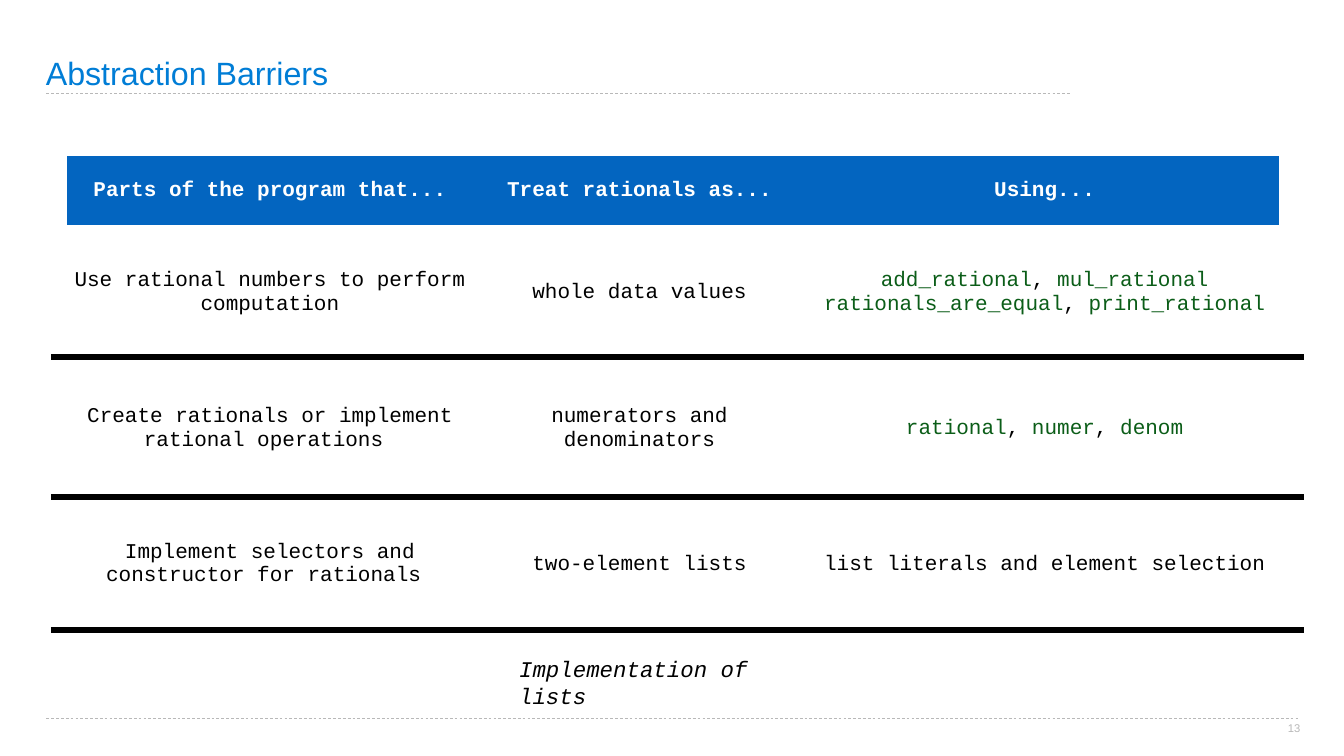
from dataclasses import dataclass

from pptx import Presentation
from pptx.dml.color import RGBColor
from pptx.enum.dml import MSO_LINE
from pptx.enum.shapes import MSO_CONNECTOR
from pptx.enum.text import MSO_ANCHOR, PP_ALIGN
from pptx.oxml.ns import qn
from pptx.util import Inches, Pt
from lxml.etree import SubElement

WIDTH, HEIGHT = 26.67, 15


@dataclass(frozen=True)
class Theme:
    title: str = "007DD6"
    header: str = "0365C0"
    code: str = "0B5D18"
    ink: str = "000000"
    paper: str = "FFFFFF"
    muted: str = "B8B8B8"
    sans: str = "Arial"
    mono: str = "Courier New"
    title_size: int = 46
    table_size: int = 30
    note_size: int = 32
    number_size: int = 16
    inset: float = 0.06
    indent: float = 0.09
    no_grid: str = "{2D5ABB26-0587-4C30-8999-92F81FD0307C}"


T = Theme()

# Backticks mark function names; a line break starts a paragraph
ROWS = [
    ["Parts of the program that...", "Treat rationals as...", "Using..."],
    ["Use rational numbers to perform computation", "whole data values",
     "`add_rational`, `mul_rational`\n`rationals_are_equal`, `print_rational`"],
    ["Create rationals or implement rational operations\t",
     "numerators and denominators", "`rational`, `numer`, `denom`"],
    ["Implement selectors and constructor for rationals\t",
     "two-element lists", "list literals and element selection"],
]
# Percent of the slide's width or height
COLUMN_SHARES = [29.92, 25.08, 35.21]
ROW_SHARES = [9.07, 17.93, 18.07, 17.87]
BARRIERS = [47.2, 65.73, 83.33]


def x(share):
    return Inches(WIDTH * share / 100)


def y(share):
    return Inches(HEIGHT * share / 100)


def set_attrs(obj, values):
    for name, value in values.items():
        setattr(obj, name, value)


def insets(size):
    sides = ("left", "top", "right", "bottom")
    return {f"margin_{side}": Inches(size) for side in sides}


def write(tf, text, color, align=PP_ALIGN.LEFT, indent=0, spacing=1, **font):
    for i, line in enumerate(text.split("\n")):
        p = tf.paragraphs[0] if i == 0 else tf.add_paragraph()
        set_attrs(p, {"alignment": align, "line_spacing": spacing})
        p._p.get_or_add_pPr().set("marL", str(Inches(indent)))
        for j, part in enumerate(line.split("`")):
            if part:
                r = p.add_run()
                r.text = part
                set_attrs(r.font, font)
                r.font.color.rgb = RGBColor.from_string(T.code if j % 2 else color)


def add_text(s, box, text, color, anchor, inset=0, wrap=True, **style):
    left, top, width, height = box
    sp = s.shapes.add_textbox(x(left), y(top), x(width), y(height))
    tf = sp.text_frame
    set_attrs(tf, {"word_wrap": wrap, "vertical_anchor": anchor, **insets(inset)})
    write(tf, text, color, **style)


def add_rule(s, start, end, level, color, width, dash=None):
    line = s.shapes.add_connector(
        MSO_CONNECTOR.STRAIGHT, x(start), y(level), x(end), y(level))
    line.line.color.rgb = RGBColor.from_string(color)
    set_attrs(line.line, {"width": Pt(width), "dash_style": dash})
    SubElement(line._element.spPr, qn("a:effectLst"))


def add_comparison(s, left, top):
    frame = s.shapes.add_table(
        len(ROWS), len(COLUMN_SHARES), x(left), y(top),
        x(sum(COLUMN_SHARES)), y(sum(ROW_SHARES)))
    table = frame.table
    set_attrs(table, {"first_row": False, "horz_banding": False})
    table._tbl.tblPr.find(qn("a:tableStyleId")).text = T.no_grid
    for column, share in zip(table.columns, COLUMN_SHARES):
        column.width = x(share)
    for i, (row, share, texts) in enumerate(zip(table.rows, ROW_SHARES, ROWS)):
        row.height = y(share)
        header = i == 0
        for cell, text in zip(row.cells, texts):
            set_attrs(cell, {"vertical_anchor": MSO_ANCHOR.MIDDLE, **insets(T.inset)})
            cell.fill.solid()
            cell.fill.fore_color.rgb = RGBColor.from_string(
                T.header if header else T.paper)
            write(cell.text_frame, text, T.paper if header else T.ink,
                  align=PP_ALIGN.CENTER, indent=T.indent, name=T.mono,
                  size=Pt(T.table_size), bold=header)


def main():
    prs = Presentation()
    set_attrs(prs, {"slide_width": Inches(WIDTH), "slide_height": Inches(HEIGHT)})
    s = prs.slides.add_slide(prs.slide_layouts[6])

    # Title and page rules
    for end, level in [(79.72, 12.4), (96.66, 95.07)]:
        add_rule(s, 3.45, end, level, T.muted, 1, MSO_LINE.DASH)
    add_text(s, (3.41, 0, 76.15, 12.2), "Abstraction Barriers", T.title,
             MSO_ANCHOR.BOTTOM, spacing=0.9, name=T.sans, size=Pt(T.title_size))
    add_text(s, (95.8, 95.47, 0.97, 1.6), "13", T.muted, MSO_ANCHOR.TOP,
             wrap=False, align=PP_ALIGN.CENTER, name=T.sans, size=Pt(T.number_size))

    # Layers of the program, with a barrier below each
    add_comparison(s, 4.95, 20.67)
    for level in BARRIERS:
        add_rule(s, 3.79, 97, level, T.ink, 8)

    # Lowest layer
    add_text(s, (38.06, 87.27, 22.5, 6), "Implementation of lists", T.ink,
             MSO_ANCHOR.MIDDLE, inset=T.inset, indent=T.indent,
             name=T.mono, size=Pt(T.note_size), italic=True)

    prs.save("out.pptx")


if __name__ == "__main__":
    main()
